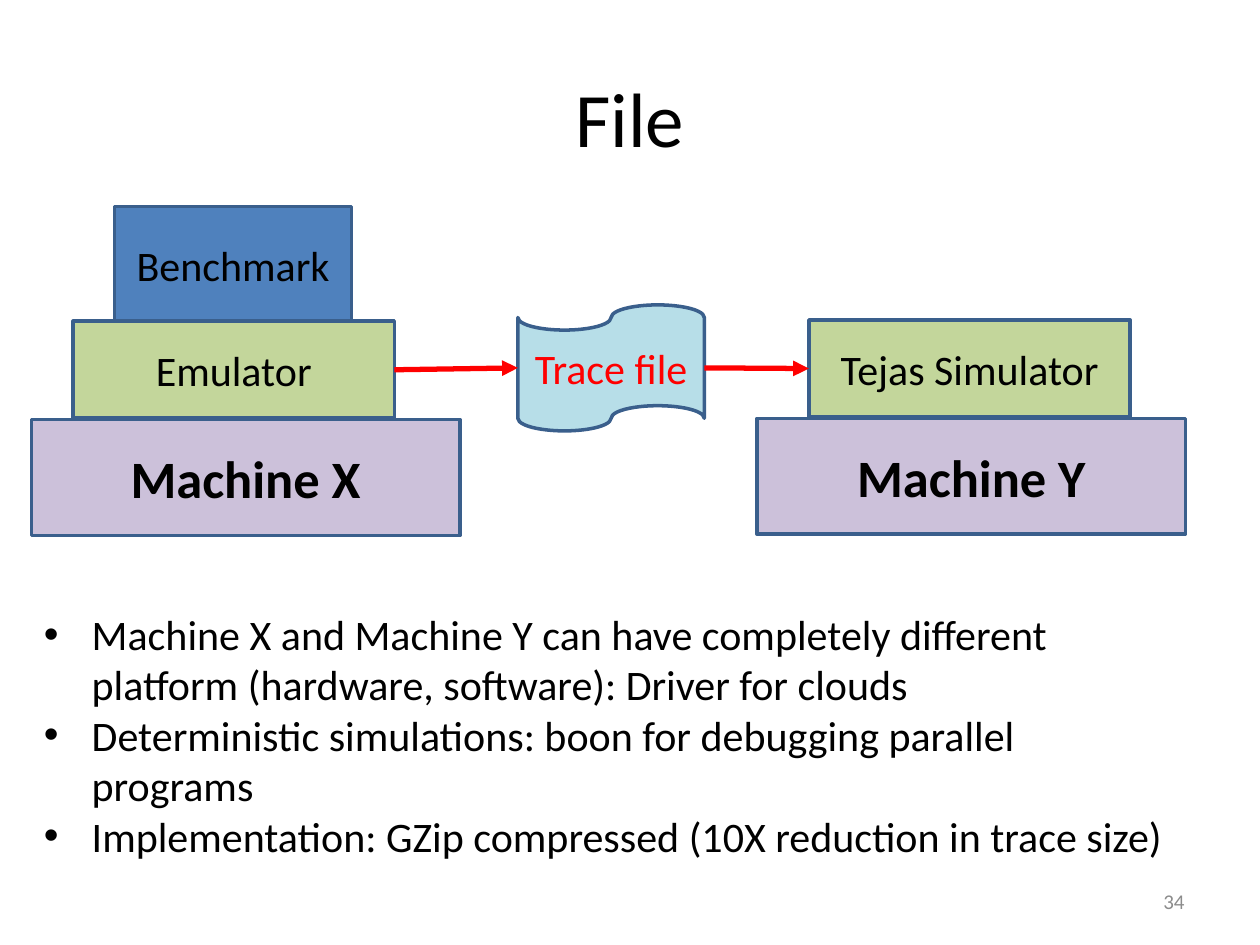
"""Build the slide on tracing a benchmark to a file and simulating it elsewhere."""
import dataclasses

import lxml.etree
import pptx
import pptx.dml.color
import pptx.enum.shapes
import pptx.enum.text
import pptx.oxml.ns
import pptx.util

Inches = pptx.util.Inches
Pt = pptx.util.Pt
Form = pptx.enum.shapes.MSO_SHAPE
Align = pptx.enum.text.PP_ALIGN
Anchor = pptx.enum.text.MSO_ANCHOR
qn = pptx.oxml.ns.qn


@dataclasses.dataclass(frozen=True)
class Theme:
    font: str = "Calibri"
    black: str = "000000"
    red: str = "FF0000"
    gray: str = "8C8C8C"
    blue: str = "4F81BD"
    green: str = "C3D69B"
    mauve: str = "CCC1DA"
    aqua: str = "B7DEE8"
    edge: str = "3A5F8C"
    title: int = 44
    host: int = 30
    body: int = 24
    small: int = 12


def rgb(code):
    return pptx.dml.color.RGBColor.from_string(code)


class Deck:
    def __init__(self, theme):
        self.theme = theme
        self.show = pptx.Presentation()
        self.show.slide_width = Inches(10)
        self.show.slide_height = Inches(7.5)
        self.slide = self.show.slides.add_slide(self.show.slide_layouts[6])

    def style(self, frame, size, color, align, bold=False):
        for para in frame.paragraphs:
            para.alignment = align
            for run in para.runs:
                run.font.name = self.theme.font
                run.font.size = Pt(size)
                run.font.bold = bold
                run.font.color.rgb = rgb(color)

    def text(self, words, place, size, color, align, anchor=Anchor.MIDDLE):
        box = self.slide.shapes.add_textbox(*map(Inches, place))
        frame = box.text_frame
        frame.word_wrap = True
        frame.vertical_anchor = anchor
        frame.text = words
        self.style(frame, size, color, align)
        return frame

    def list(self, items, place):
        frame = self.text("\n".join(items), place, self.theme.body,
                          self.theme.black, Align.LEFT, Anchor.TOP)
        frame.auto_size = pptx.enum.text.MSO_AUTO_SIZE.SHAPE_TO_FIT_TEXT
        hang = Inches(0.38)
        for para in frame.paragraphs:
            props = para._p.get_or_add_pPr()
            props.set("marL", str(hang))
            props.set("indent", str(-hang))
            lxml.etree.SubElement(props, qn("a:buFont"), typeface="Arial")
            lxml.etree.SubElement(props, qn("a:buChar"), char="•")

    def block(self, words, place, fill, size=None, color=None, bold=False,
              form=Form.RECTANGLE):
        shape = self.slide.shapes.add_shape(form, *map(Inches, place))
        shape.shadow.inherit = False
        shape.fill.solid()
        shape.fill.fore_color.rgb = rgb(fill)
        shape.line.color.rgb = rgb(self.theme.edge)
        shape.line.width = Pt(2)
        frame = shape.text_frame
        frame.word_wrap = True
        frame.vertical_anchor = Anchor.MIDDLE
        frame.text = words
        self.style(frame, size or self.theme.body, color or self.theme.black,
                   Align.CENTER, bold)
        return shape

    def arrow(self, start, end):
        link = self.slide.shapes.add_connector(
            pptx.enum.shapes.MSO_CONNECTOR.STRAIGHT, 0, 0, 0, 0)
        link.begin_connect(start, 3)
        link.end_connect(end, 1)
        link.line.color.rgb = rgb(self.theme.red)
        link.line.width = Pt(3)
        lxml.etree.SubElement(link.line._get_or_add_ln(), qn("a:tailEnd"),
                              type="triangle")
        lxml.etree.SubElement(link._element.spPr, qn("a:effectLst"))


def main():
    theme = Theme()
    deck = Deck(theme)
    deck.text("File", (0.5, 0.3, 9, 1.25), theme.title, theme.black,
              Align.CENTER)

    deck.block("Benchmark", (0.91, 1.64, 1.88, 0.92), theme.blue)
    source = deck.block("Emulator", (0.58, 2.55, 2.55, 0.77), theme.green)
    for name, left, top in (("Machine X", 0.25, 3.33),
                            ("Machine Y", 6.01, 3.32)):
        deck.block(name, (left, top, 3.4, 0.92), theme.mauve, theme.host,
                   bold=True)
    target = deck.block("Tejas Simulator", (6.42, 2.54, 2.55, 0.77),
                        theme.green)

    deck.list((
        "Machine X and Machine Y can have completely different platform "
        "(hardware, software): Driver for clouds",
        "Deterministic simulations: boon for debugging parallel programs",
        "Implementation: GZip compressed (10X reduction in trace size)",
    ), (0.25, 4.78, 9.17, 2.12))

    trace = deck.block("Trace file", (4.11, 2.42, 1.48, 1), theme.aqua,
                       color=theme.red, form=Form.FLOWCHART_PUNCHED_TAPE)
    deck.arrow(source, trace)
    deck.arrow(trace, target)
    deck.text("34", (7.17, 6.95, 2.33, 0.4), theme.small, theme.gray,
              Align.RIGHT)
    deck.show.save("out.pptx")


if __name__ == "__main__":
    main()
